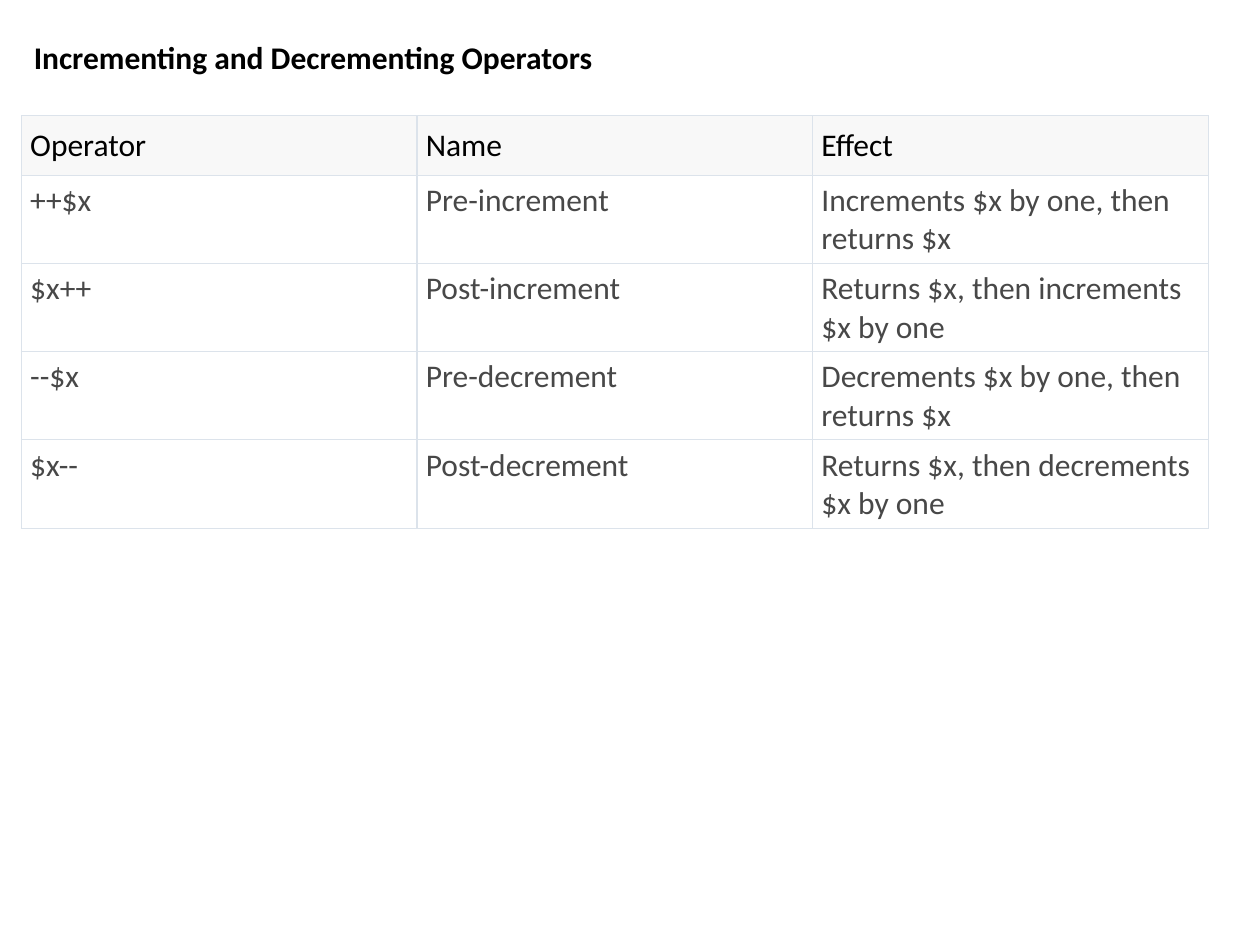
from dataclasses import dataclass

from lxml.etree import SubElement
from pptx import Presentation
from pptx.dml.color import RGBColor
from pptx.enum.text import MSO_AUTO_SIZE as AutoSize
from pptx.oxml.ns import qn
from pptx.util import Inches, Pt

COLORS = {
    "title": "000000",
    "header_text": "000000",
    "header_fill": "F8F8F8",
    "body_text": "484848",
    "body_fill": "FFFFFF",
    "border": "DCE3EB",
}
FONT, SIZE = "Calibri", 18
LEFT = 0.17
COLUMN_WIDTH = 3.14
BORDER_WIDTH = 0.75
SIDE_MARGIN = 0.07


@dataclass(frozen=True)
class RowStyle:
    height: float
    margin: float
    text: str
    fill: str


HEADER = RowStyle(0.47, 0.08, "header_text", "header_fill")
BODY = RowStyle(0.7, 0.05, "body_text", "body_fill")

OPERATORS = [
    ("Operator", "Name", "Effect"),
    ("++$x", "Pre-increment", "Increments $x by one, then returns $x"),
    ("$x++", "Post-increment", "Returns $x, then increments $x by one"),
    ("--$x", "Pre-decrement", "Decrements $x by one, then returns $x"),
    ("$x--", "Post-decrement", "Returns $x, then decrements $x by one"),
]


def set_text(frame, text: str, color: str, bold: bool = False) -> None:
    para = frame.paragraphs[0]
    para.text = text
    para.font.name, para.font.size, para.font.bold = FONT, Pt(SIZE), bold
    para.font.color.rgb = RGBColor.from_string(COLORS[color])


def add_borders(cell) -> None:
    """Line all four sides; borders must come before the cell's fill."""
    props = cell._tc.get_or_add_tcPr()
    for side in ("lnL", "lnR", "lnT", "lnB"):
        line = SubElement(props, qn(f"a:{side}"), w=str(Pt(BORDER_WIDTH)))
        fill = SubElement(line, qn("a:solidFill"))
        SubElement(fill, qn("a:srgbClr"), val=COLORS["border"])


def style_cell(cell, text: str, style: RowStyle) -> None:
    cell.margin_left = cell.margin_right = Inches(SIDE_MARGIN)
    cell.margin_top = cell.margin_bottom = Inches(style.margin)
    add_borders(cell)
    cell.fill.solid()
    cell.fill.fore_color.rgb = RGBColor.from_string(COLORS[style.fill])
    set_text(cell.text_frame, text, style.text)


def add_title(page, text: str) -> None:
    box = page.shapes.add_textbox(Inches(LEFT), Inches(0.25), Inches(4.67), Inches(0.4))
    box.text_frame.word_wrap = False
    box.text_frame.auto_size = AutoSize.SHAPE_TO_FIT_TEXT
    set_text(box.text_frame, text, "title", bold=True)


def add_operator_table(page, rows: list[tuple[str, ...]]) -> None:
    columns = len(rows[0])
    styles = [HEADER] + [BODY] * (len(rows) - 1)
    height = sum(style.height for style in styles)
    table = page.shapes.add_table(
        len(rows), columns, Inches(LEFT), Inches(0.92),
        Inches(COLUMN_WIDTH * columns), Inches(height),
    ).table
    table.horz_banding = False
    for column in table.columns:
        column.width = Inches(COLUMN_WIDTH)
    for row, style, texts in zip(table.rows, styles, rows):
        row.height = Inches(style.height)
        for cell, text in zip(row.cells, texts):
            style_cell(cell, text, style)


def main() -> None:
    deck = Presentation()
    deck.slide_width, deck.slide_height = Inches(10), Inches(7.5)
    page = deck.slides.add_slide(deck.slide_layouts[6])
    add_title(page, "Incrementing and Decrementing Operators")
    add_operator_table(page, OPERATORS)
    deck.save("out.pptx")


if __name__ == "__main__":
    main()
